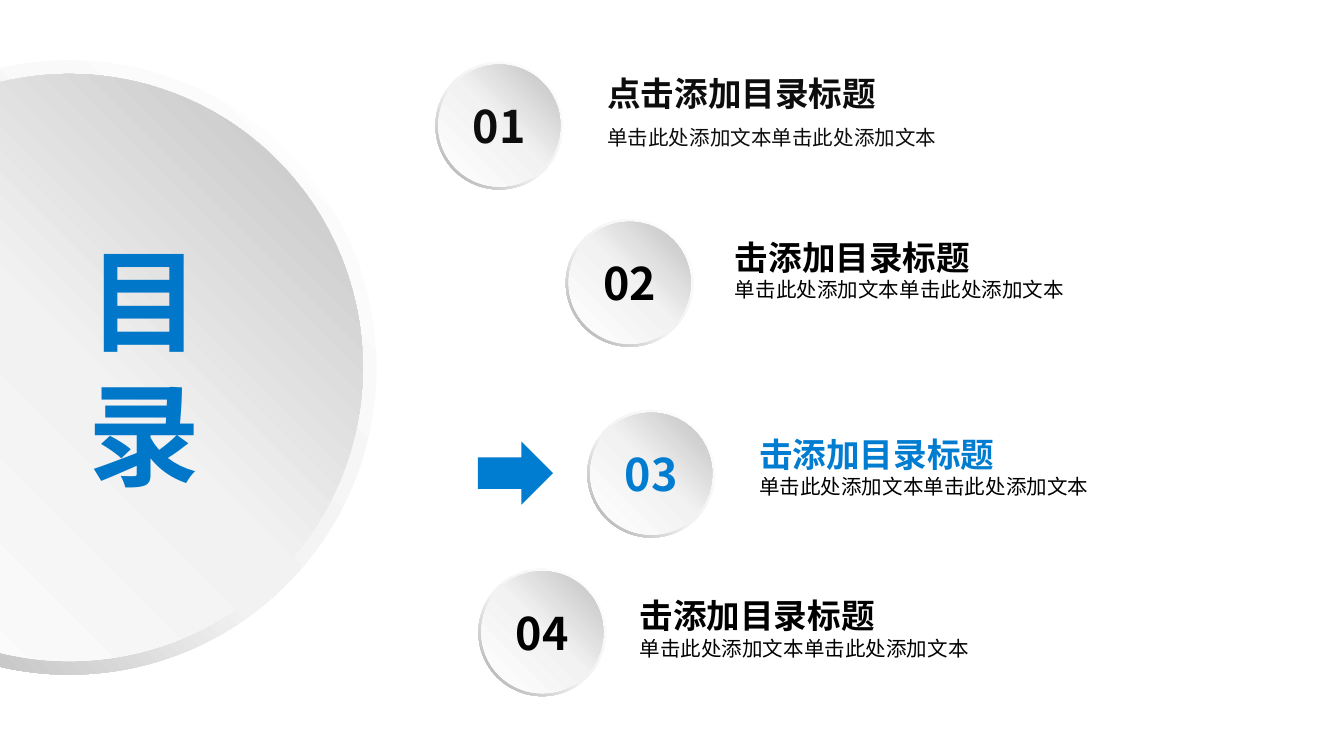
"""Build a contents slide with four numbered discs and one marked entry."""
from copy import deepcopy
from dataclasses import dataclass

from pptx import Presentation
from pptx.dml.color import RGBColor
from pptx.enum.shapes import MSO_SHAPE
from pptx.enum.text import MSO_ANCHOR, MSO_AUTO_SIZE, PP_ALIGN
from pptx.oxml.ns import qn
from pptx.util import Inches, Pt


@dataclass(frozen=True)
class Theme:
    """Colours, type sizes and gradients."""
    face: str = "Noto Sans CJK SC"
    title: str = "0077C8"
    mark: str = "007CD0"
    black: str = "000000"
    soft: str = "0D0D0D"
    huge: int = 60
    large: int = 24
    head: int = 18
    small: int = 11
    rim: tuple = ((0, "FFFFFF"), (0.55, "F2F2F2"), (1, "A6A6A6"))
    dish: tuple = ((0, "FFFFFF"), (0.51, "F2F2F2"), (1, "BFBFBF"))


THEME = Theme()
WIDTH, HEIGHT = Inches(10), Inches(5.625)
UNIT = WIDTH / 100
TITLE = "目\n录"
NOTE = "单击此处添加文本单击此处添加文本"
HEAD = "击添加目录标题"
ITEMS = [
    dict(num="01", head="点" + HEAD, disc=(32.4, 4.6), text=(44.2, 4.9),
         tint=THEME.soft, ink=THEME.soft, gap=1.5),
    dict(num="02", head=HEAD, disc=(42.1, 16.3), text=(53.7, 17.1),
         tint=THEME.black, ink=THEME.black, gap=1),
    dict(num="03", head=HEAD, disc=(43.7, 30.5), text=(55.5, 31.8),
         tint=THEME.mark, ink=THEME.black, gap=1),
    dict(num="04", head=HEAD, disc=(35.6, 42.3), text=(46.6, 43.8),
         tint=THEME.black, ink=THEME.black, gap=1),
]
BIG, BIG_AT = 45.7, (-17.7, 4.5)
DISC = 9.5
RING, INSET = 0.049, 0.022
ARROW = (36, 32.4, 4.7, 5.6)


def scale(*box):
    """Turn hundredths of the slide width into lengths."""
    return [round(n * UNIT) for n in box]


def style(para, size, tint, bold=True):
    """Set font, size and colour on every run of a paragraph."""
    for run in para.runs:
        font = run.font
        font.name, font.size, font.bold = THEME.face, Pt(size), bold
        font.color.rgb = RGBColor.from_string(tint)
        east = deepcopy(run._r.rPr.find(qn("a:latin")))
        east.tag = qn("a:ea")
        run._r.rPr.find(qn("a:latin")).addnext(east)


def centre(frame, size, tint):
    """Centre all text of a frame, without margins."""
    frame.margin_left = frame.margin_right = 0
    frame.margin_top = frame.margin_bottom = 0
    frame.word_wrap, frame.auto_size = True, MSO_AUTO_SIZE.NONE
    frame.vertical_anchor = MSO_ANCHOR.MIDDLE
    for para in frame.paragraphs:
        para.alignment = PP_ALIGN.CENTER
        style(para, size, tint)


def add_round(shapes, kind, box, stops, angle):
    """Add a round shape with a three-stop gradient."""
    shape = shapes.add_shape(kind, *scale(*box))
    shape.shadow.inherit = False
    shape.line.fill.background()
    shape.fill.gradient()
    shape.fill.gradient_angle = angle
    grades = shape._element.spPr.find(".//" + qn("a:gsLst"))
    grades.insert(1, deepcopy(grades[0]))
    for stop, (place, tint) in zip(shape.fill.gradient_stops, stops):
        stop.position = place
        stop.color.rgb = RGBColor.from_string(tint)
    return shape


def add_disc(slide, left, top, size):
    """Add a rim and its dish as a group and return the group's shapes."""
    shapes = slide.shapes.add_group_shape().shapes
    rim = add_round(shapes, MSO_SHAPE.DONUT, (left, top, size, size),
                    THEME.rim, 225)
    rim.adjustments[0] = RING
    edge = size * INSET
    core = size - 2 * edge
    add_round(shapes, MSO_SHAPE.OVAL, (left + edge, top + edge, core, core),
              THEME.dish, 45)
    return shapes


def add_item(slide, item):
    """Add a numbered disc with its heading and note."""
    left, top = item["disc"]
    wide, high = 6.4, 4
    shapes = add_disc(slide, left, top, DISC)
    label = shapes.add_textbox(*scale(
        left + (DISC - wide) / 2, top + (DISC - high) / 2, wide, high))
    label.text_frame.text = item["num"]
    centre(label.text_frame, THEME.large, item["tint"])

    box = slide.shapes.add_textbox(*scale(*item["text"], 28.6, 5.8))
    frame = box.text_frame
    frame.word_wrap = True
    frame.text = item["head"] + "\n" + NOTE
    head, note = frame.paragraphs
    style(head, THEME.head, item["tint"])
    style(note, THEME.small, item["ink"], False)
    note.line_spacing = item["gap"]


def main():
    """Build and save the slide."""
    deck = Presentation()
    deck.slide_width, deck.slide_height = WIDTH, HEIGHT
    slide = deck.slides.add_slide(deck.slide_layouts[5])
    add_disc(slide, *BIG_AT, BIG)

    title = slide.shapes.title
    title.left, title.top, title.width, title.height = scale(
        2.8, 17.1, 15.9, 20.2)
    title.text_frame.text = TITLE
    centre(title.text_frame, THEME.huge, THEME.title)
    slide.shapes._spTree.append(title._element)

    for item in ITEMS:
        add_item(slide, item)

    arrow = slide.shapes.add_shape(MSO_SHAPE.DOWN_ARROW, *scale(*ARROW))
    arrow.rotation = 270
    arrow.shadow.inherit = False
    arrow.fill.solid()
    arrow.fill.fore_color.rgb = RGBColor.from_string(THEME.mark)
    arrow.line.fill.background()
    deck.save("out.pptx")


if __name__ == "__main__":
    main()
